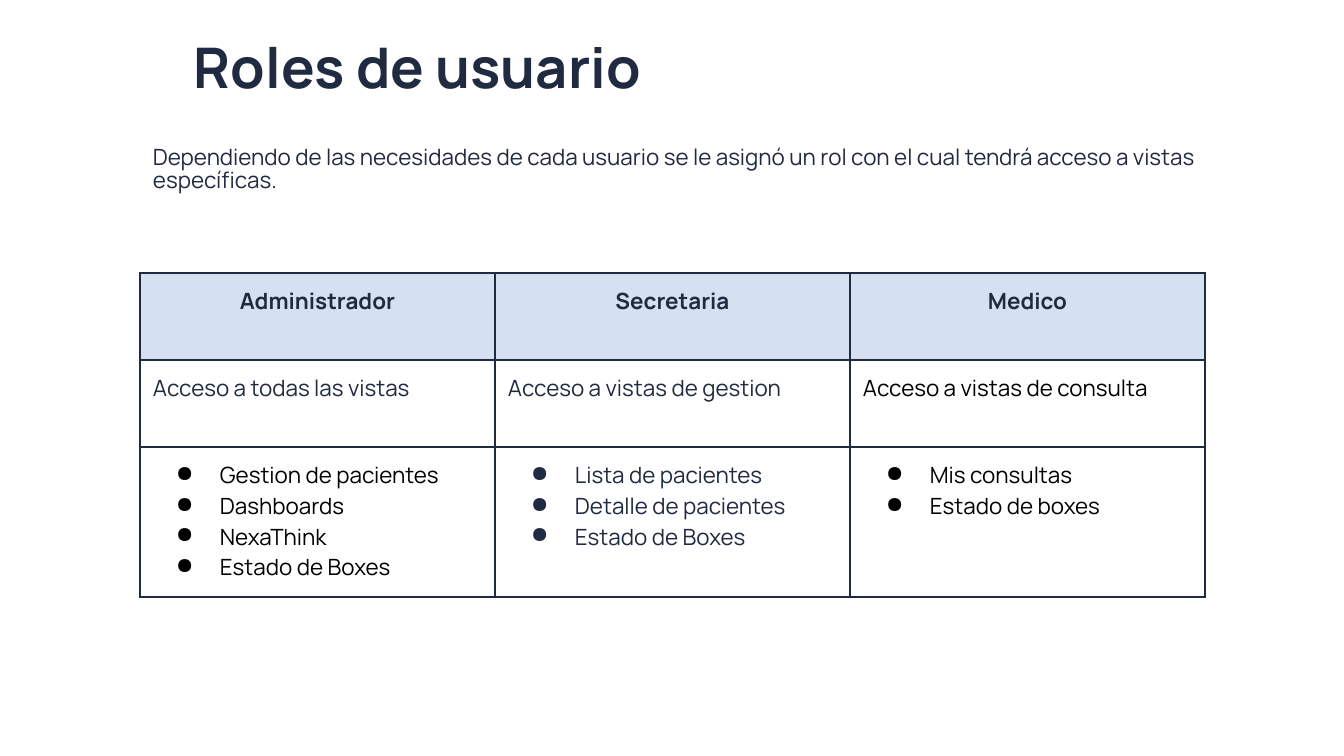
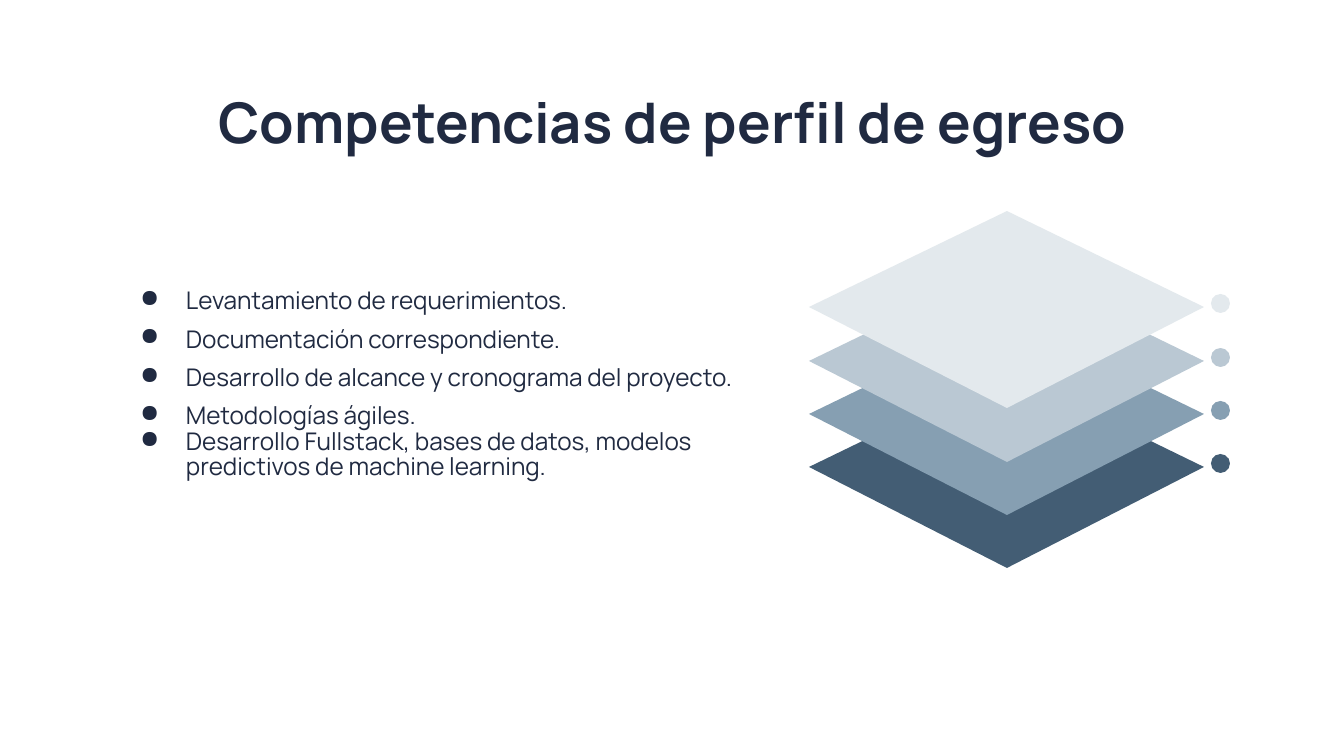
"""Build two slides on user roles and graduate skills."""
import dataclasses

import pptx
import pptx.dml.color
import pptx.enum.shapes
import pptx.enum.text
import pptx.oxml
import pptx.oxml.ns
import pptx.util

SCALE = 914400 / 134.4
ALIGN = pptx.enum.text.PP_ALIGN
ANCHOR = pptx.enum.text.MSO_ANCHOR


@dataclasses.dataclass(frozen=True)
class Theme:
    font: str = "Manrope"
    ink: str = "202A41"
    black: str = "000000"
    head: str = "D3E1F1"
    layers: tuple = ("435D74", "869FB2", "BAC8D3", "E3E9ED")
    title: int = 30
    body: int = 12
    list: int = 13
    rule: float = 0.75
    inset: int = 13


THEME = Theme()


def px(size):
    return pptx.util.Emu(round(size * SCALE))


def rgb(code):
    return pptx.dml.color.RGBColor.from_string(code)


def add_xml(parent, body):
    space = pptx.oxml.ns.nsdecls("a")
    tag, rest = body[1:].split(" ", 1)
    parent.append(pptx.oxml.parse_xml(f"<{tag} {space} {rest}"))


def add_dot(para, color, hang):
    props = para._p.get_or_add_pPr()
    props.set("marL", str(px(67)))
    props.set("indent", str(-px(hang)))
    add_xml(props, f'<a:buClr ><a:srgbClr val="{color}"/></a:buClr>')
    add_xml(props, '<a:buChar char="●"/>')


def write(frame, lines, size, color=THEME.ink, bold=False, align=ALIGN.LEFT,
          gaps=None, hang=0):
    for i, line in enumerate(lines):
        para = frame.paragraphs[0] if i == 0 else frame.add_paragraph()
        para.text = line
        para.alignment = align
        if gaps:
            para.line_spacing = gaps[i]
        if hang:
            add_dot(para, color, hang)
        font = para.font
        font.name = THEME.font
        font.size = pptx.util.Pt(size)
        font.bold = bold
        font.color.rgb = rgb(color)


def add_text(slide, box, lines, size, anchor=ANCHOR.TOP, **style):
    frame = slide.shapes.add_textbox(*map(px, box)).text_frame
    frame.word_wrap = True
    frame.vertical_anchor = anchor
    frame.margin_left = frame.margin_right = px(THEME.inset)
    frame.margin_top = frame.margin_bottom = px(THEME.inset)
    write(frame, lines, size, **style)


def add_title(slide, box, text):
    add_text(slide, box, [text], THEME.title, bold=True, align=ALIGN.CENTER,
             gaps=[0.96])


def set_cell(cell, fill=None):
    cell.margin_left = cell.margin_right = px(THEME.inset)
    cell.margin_top = cell.margin_bottom = px(THEME.inset)
    width = pptx.util.Pt(THEME.rule)
    for side in "LRTB":
        add_xml(cell._tc.get_or_add_tcPr(),
                f'<a:ln{side} w="{width}"><a:solidFill><a:srgbClr '
                f'val="{THEME.ink}"/></a:solidFill></a:ln{side}>')
    if fill:
        cell.fill.solid()
        cell.fill.fore_color.rgb = rgb(fill)
    else:
        cell.fill.background()


def add_roles(slide, roles, left, top, width, rows):
    frame = slide.shapes.add_table(len(rows), len(roles), px(left), px(top),
                                   px(width * len(roles)), px(sum(rows)))
    table = frame.table
    table.first_row = table.horz_banding = False
    for row, high in zip(table.rows, rows):
        row.height = px(high)
    for i, (name, scope, scope_ink, views, view_ink) in enumerate(roles):
        table.columns[i].width = px(width)
        head, mid, last = (table.cell(j, i) for j in range(3))
        set_cell(head, THEME.head)
        set_cell(mid)
        set_cell(last)
        write(head.text_frame, [name], THEME.body, bold=True,
              align=ALIGN.CENTER)
        write(mid.text_frame, [scope], THEME.body, scope_ink)
        write(last.text_frame, views, THEME.body, view_ink, hang=44)


def paint(shape, color):
    shape.shadow.inherit = False
    shape.fill.solid()
    shape.fill.fore_color.rgb = rgb(color)
    shape.line.fill.background()


def add_layer(group, top, color):
    pen = group.shapes.build_freeform(1007, top, SCALE)
    pen.add_line_segments([(809, top + 96), (1007, top + 197),
                           (1204, top + 96)], close=True)
    paint(pen.convert_to_shape(), color)
    oval = pptx.enum.shapes.MSO_SHAPE.OVAL
    dot = group.shapes.add_shape(oval, px(1211), px(top + 83), px(19), px(19))
    paint(dot, color)


def add_stack(slide):
    group = slide.shapes.add_group_shape()
    for i, color in enumerate(THEME.layers):
        add_layer(group, 371 - 160 * i // 3, color)


def show_roles(slide):
    add_title(slide, (0, 24, 835, 85), "Roles de usuario")
    add_text(slide, (140, 134, 1070, 112),
             ["Dependiendo de las necesidades de cada usuario se le asignó un "
              "rol con el cual tendrá acceso a vistas específicas."],
             THEME.body, gaps=[0.85])
    roles = [
        ("Administrador", "Acceso a todas las vistas", THEME.ink,
         ["Gestion de pacientes", "Dashboards", "NexaThink",
          "Estado de Boxes"], THEME.black),
        ("Secretaria", "Acceso a vistas de gestion", THEME.ink,
         ["Lista de pacientes", "Detalle de pacientes", "Estado de Boxes"],
         THEME.ink),
        ("Medico", "Acceso a vistas de consulta", THEME.black,
         ["Mis consultas", "Estado de boxes"], THEME.black),
    ]
    add_roles(slide, roles, 140, 273, 355, (87, 87, 150))


def show_skills(slide):
    add_title(slide, (106, 79, 1133, 85), "Competencias de perfil de egreso")
    skills = [
        "Levantamiento de requerimientos.",
        "Documentación correspondiente.",
        "Desarrollo de alcance y cronograma del proyecto.",
        "Metodologías ágiles.",
        "Desarrollo Fullstack, bases de datos, modelos predictivos de "
        "machine learning.",
    ]
    add_text(slide, (106, 222, 704, 313), skills, THEME.list,
             anchor=ANCHOR.MIDDLE, gaps=[1.32] * 4 + [0.88], hang=46)
    add_stack(slide)


def main():
    deck = pptx.Presentation()
    deck.slide_width, deck.slide_height = px(1344), px(756)
    for show in (show_roles, show_skills):
        show(deck.slides.add_slide(deck.slide_layouts[6]))
    deck.save("out.pptx")


if __name__ == "__main__":
    main()
